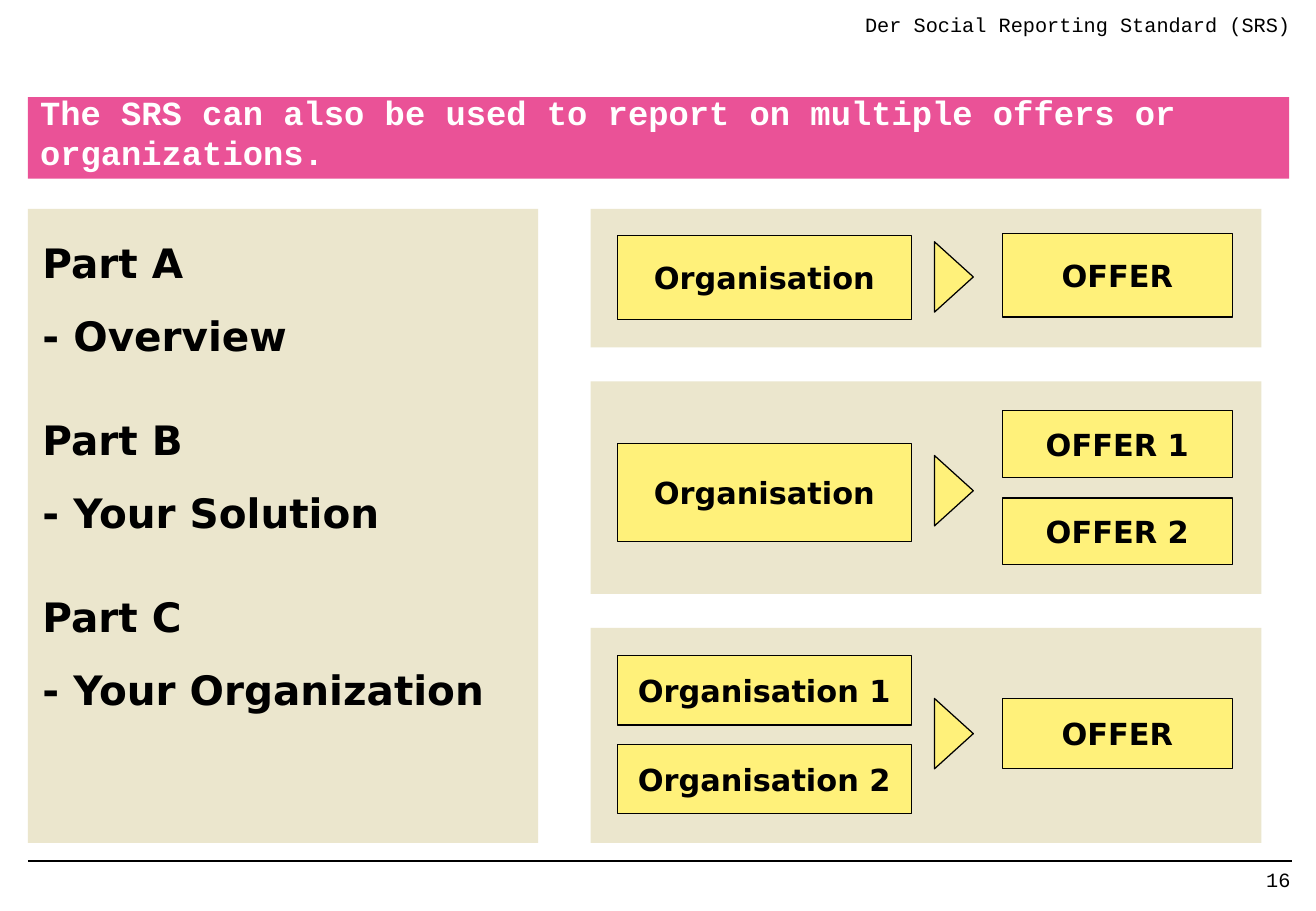
"""Build the slide on reporting multiple offers or organizations with the SRS."""
import pptx
import pptx.dml.color
import pptx.enum.shapes
import pptx.enum.text
import pptx.oxml
import pptx.oxml.ns
import pptx.util

RGBColor = pptx.dml.color.RGBColor
PINK = RGBColor(0xEA, 0x52, 0x97)
SAND = RGBColor(0xEB, 0xE6, 0xCD)
YELLOW = RGBColor(0xFF, 0xF1, 0x7A)
BLACK = RGBColor(0, 0, 0)
WHITE = RGBColor(0xFF, 0xFF, 0xFF)
MONO = "Courier New"
SANS = "DejaVu Sans"
EMU_PER_PX = 9144

ALIGN = pptx.enum.text.PP_ALIGN
ANCHOR = pptx.enum.text.MSO_ANCHOR
SHAPE = pptx.enum.shapes.MSO_SHAPE

PARTS = [
    ("Part A", "- Overview"),
    ("Part B", "- Your Solution"),
    ("Part C", "- Your Organization"),
]
SCENARIOS = [
    {"top": 172, "height": 114, "arrow": 228,
     "organisations": [("Organisation", 194, 69)],
     "offers": [("OFFER", 192, 69)]},
    {"top": 314, "height": 175, "arrow": 404,
     "organisations": [("Organisation", 365, 81)],
     "offers": [("OFFER 1", 338, 55), ("OFFER 2", 410, 55)]},
    {"top": 517, "height": 177, "arrow": 604,
     "organisations": [("Organisation 1", 540, 57), ("Organisation 2", 613, 57)],
     "offers": [("OFFER", 575, 58)]},
]


def px(*lengths):
    return [pptx.util.Emu(length * EMU_PER_PX) for length in lengths]


def write(shape, *lines, font=SANS, size=18, color=BLACK, bold=False, align=ALIGN.LEFT,
          anchor=ANCHOR.TOP, insets=(0, 0, 0, 0), spacing=None, after=(0,)):
    frame = shape.text_frame
    frame.word_wrap = True
    frame.auto_size = pptx.enum.text.MSO_AUTO_SIZE.NONE
    frame.vertical_anchor = anchor
    (frame.margin_left, frame.margin_top,
     frame.margin_right, frame.margin_bottom) = px(*insets)
    for index, line in enumerate(lines):
        paragraph = frame.add_paragraph() if index else frame.paragraphs[0]
        paragraph.alignment = align
        paragraph.line_spacing = spacing
        paragraph.space_after = pptx.util.Pt(after[index % len(after)])
        run = paragraph.add_run()
        run.text = line
        run.font.name = font
        run.font.size = pptx.util.Pt(size)
        run.font.bold = bold
        run.font.color.rgb = color


class SlideBuilder:
    def __init__(self, deck):
        self.slide = deck.slides.add_slide(deck.slide_layouts[5])
        self.shapes = self.slide.shapes

    def title(self, text, box):
        heading = self.slide.shapes.title
        heading.left, heading.top, heading.width, heading.height = px(*box)
        heading.fill.solid()
        heading.fill.fore_color.rgb = PINK
        write(heading, text, font=MONO, size=20, color=WHITE, bold=True,
              anchor=ANCHOR.BOTTOM, insets=(10, 5, 10, 5))

    def label(self, text, box):
        write(self.slide.shapes.add_textbox(*px(*box)), text, font=MONO, size=12,
              align=ALIGN.RIGHT, insets=(10, 5, 0, 5))

    def rule(self, start, end):
        line = self.slide.shapes.add_connector(
            pptx.enum.shapes.MSO_CONNECTOR.STRAIGHT, *px(*start, *end))
        line.line.color.rgb = BLACK
        line.line.width = pptx.util.Pt(1)
        properties = line._element.spPr
        properties.append(properties.makeelement(pptx.oxml.ns.qn("a:effectLst"), {}))

    def figure(self, shapes, kind, box, fill, outlined=False):
        shape = shapes.add_shape(kind, *px(*box))
        shape.shadow.inherit = False
        shape.fill.solid()
        shape.fill.fore_color.rgb = fill
        if outlined:
            shape.line.color.rgb = BLACK
            shape.line.width = pptx.util.Pt(0.75)
        else:
            shape.line.fill.background()
        return shape

    def parts_panel(self, parts, box):
        panel = self.figure(self.slide.shapes, SHAPE.RECTANGLE, box, SAND)
        write(panel, *[line for part in parts for line in part], size=24, bold=True,
              insets=(12, 12, 4, 5), spacing=1.3, after=(6, 24))

    def card(self, shapes, text, box):
        card = self.figure(shapes, SHAPE.RECTANGLE, box, YELLOW, outlined=True)
        write(card, text, bold=True, align=ALIGN.CENTER, anchor=ANCHOR.MIDDLE)

    def scenario(self, top, height, arrow, organisations, offers):
        shapes = self.slide.shapes.add_group_shape().shapes
        self.figure(shapes, SHAPE.RECTANGLE, (486, top, 552, height), SAND)
        for left, width, cards in ((508, 242, organisations), (825, 189, offers)):
            for text, card_top, card_height in cards:
                self.card(shapes, text, (left, card_top, width, card_height))
        pointer = self.figure(shapes, SHAPE.ISOSCELES_TRIANGLE,
                              (756, arrow - 16, 58, 32), YELLOW, outlined=True)
        pointer.rotation = 90


def main():
    deck = pptx.Presentation()
    deck.slide_width, deck.slide_height = px(1083, 750)
    builder = SlideBuilder(deck)
    builder.title("The SRS can also be used to report on multiple offers or organizations.",
                  (23, 80, 1038, 67))
    builder.label("Der Social Reporting Standard (SRS)", (542, 5, 520, 40))
    builder.parts_panel(PARTS, (23, 172, 420, 522))
    for scenario in SCENARIOS:
        builder.scenario(**scenario)
    builder.rule((23, 709), (1063, 709))
    builder.label("16", (809, 709, 253, 31))
    deck.save("out.pptx")


if __name__ == "__main__":
    main()
